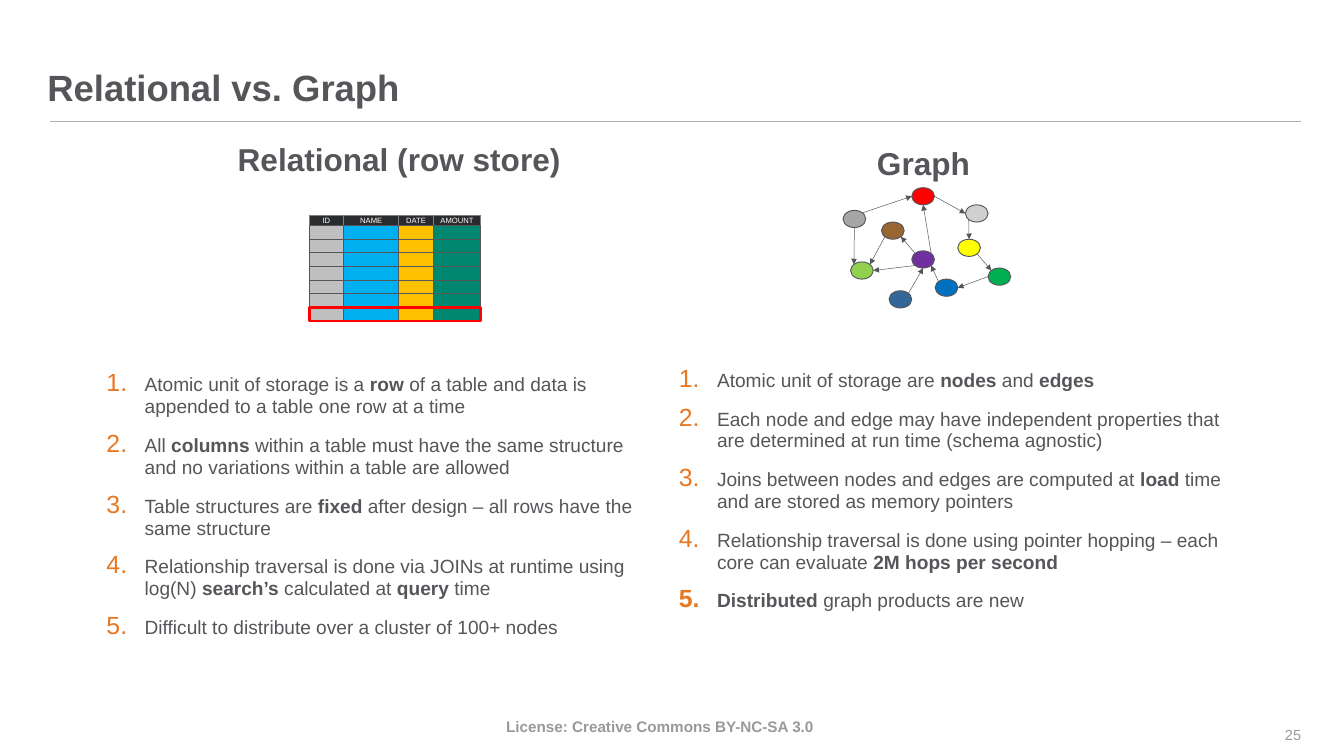
import math
from dataclasses import dataclass

import lxml.etree
import pptx
import pptx.dml.color
import pptx.enum.shapes
import pptx.enum.text
import pptx.oxml.ns
import pptx.util

Pt = pptx.util.Pt
ALIGN = pptx.enum.text.PP_ALIGN
ANCHOR = pptx.enum.text.MSO_ANCHOR
SHAPE = pptx.enum.shapes.MSO_SHAPE


@dataclass(frozen=True)
class Theme:
    font: str = "Arial"
    text: str = "55565A"
    accent: str = "E87722"
    rule: str = "B1B3B3"
    license: str = "98999D"
    page_number: str = "999A9B"
    header_fill: str = "2A2B2D"
    header_line: str = "808080"
    header_text: str = "FFFFFF"
    highlight: str = "FF0000"
    title_size: float = 38.2
    heading_size: float = 33.1
    body_size: float = 20
    license_size: float = 16
    page_number_size: float = 15.3
    header_size: float = 8


THEME = Theme()

RELATIONAL_POINTS = [
    "Atomic unit of storage is a **row** of a table and data is appended to a table one row at a time",
    "All **columns** within a table must have the same structure and no variations within a table are allowed",
    "Table structures are **fixed** after design – all rows have the same structure",
    "Relationship traversal is done via JOINs at runtime using log(N) **search’s** calculated at **query** time",
    "Difficult to distribute over a cluster of 100+ nodes",
]
GRAPH_POINTS = [
    "Atomic unit of storage are **nodes** and **edges**",
    "Each node and edge may have independent properties that are determined at run time (schema agnostic)",
    "Joins between nodes and edges are computed at **load** time and are stored as memory pointers",
    "Relationship traversal is done using pointer hopping – each core can evaluate **2M hops per second**",
    "**Distributed** graph products are new",
]

# Header, width, colour
TABLE_COLUMNS = [
    ("ID", 36, "BFBFBF"),
    ("NAME", 58, "00B0F0"),
    ("DATE", 36, "FFC000"),
    ("AMOUNT", 50, "008770"),
]
TABLE_ROWS = 7

# Offset from the corner of the graph, colour
NODES = {
    "red": (72, 0, "FF0000"),
    "brown": (40.3, 36, "996633"),
    "purple": (72, 66.2, "7030A0"),
    "silver": (128.2, 18, "D0D0CE"),
    "yellow": (120.2, 54, "FFFF00"),
    "lime": (7.9, 77.8, "92D050"),
    "blue": (96.5, 95.8, "0070C0"),
    "gray": (0, 23.8, "A6A6A6"),
    "green": (151.9, 84.2, "00B050"),
    "navy": (48.2, 108, "336699"),
}
NODE_SIZE = (23.8, 18)

# Node and compass side where each edge starts and ends
EDGES = [
    ("gray", "NE", "red", "W"),
    ("red", "E", "silver", "W"),
    ("silver", "SW", "yellow", "N"),
    ("yellow", "SE", "green", "NW"),
    ("green", "W", "blue", "E"),
    ("blue", "NW", "purple", "SE"),
    ("purple", "NW", "brown", "SE"),
    ("brown", "SW", "lime", "NE"),
    ("gray", "S", "lime", "NW"),
    ("purple", "NE", "red", "S"),
    ("purple", "SW", "lime", "E"),
    ("navy", "NE", "purple", "S"),
]
COMPASS = ["E", "SE", "S", "SW", "W", "NW", "N", "NE"]


def rgb(colour):
    return pptx.dml.color.RGBColor.from_string(colour)


def set_font(paragraph, size, colour, bold=False):
    font = paragraph.font
    font.name, font.size, font.bold = THEME.font, Pt(size), bold
    font.color.rgb = rgb(colour)


def add_text_frame(slide, box, anchor=ANCHOR.TOP):
    frame = slide.shapes.add_textbox(*map(Pt, box)).text_frame
    frame.word_wrap = True
    frame.vertical_anchor = anchor
    frame.margin_left = frame.margin_top = frame.margin_right = frame.margin_bottom = 0
    return frame


def add_label(slide, box, text, size, colour, bold=True, align=ALIGN.LEFT,
              anchor=ANCHOR.TOP, line_spacing=1.0):
    paragraph = add_text_frame(slide, box, anchor).paragraphs[0]
    paragraph.text = text
    paragraph.alignment = align
    paragraph.line_spacing = line_spacing
    set_font(paragraph, size, colour, bold)


def add_heading(slide, box, text):
    add_label(slide, box, text, THEME.heading_size, THEME.text,
              align=ALIGN.CENTER, line_spacing=0.95)


def add_numbering(paragraph):
    properties = paragraph._p.get_or_add_pPr()
    properties.set("marL", str(Pt(40)))
    properties.set("indent", str(Pt(-40)))
    qn = pptx.oxml.ns.qn
    colour = lxml.etree.SubElement(properties, qn("a:buClr"))
    lxml.etree.SubElement(colour, qn("a:srgbClr"), val=THEME.accent)
    lxml.etree.SubElement(properties, qn("a:buSzPct"), val="130000")
    lxml.etree.SubElement(properties, qn("a:buAutoNum"), type="arabicPeriod")


def add_numbered_list(slide, box, points):
    """Number the points; text between double asterisks is bold."""
    frame = add_text_frame(slide, box)
    for index, point in enumerate(points):
        paragraph = frame.add_paragraph() if index else frame.paragraphs[0]
        paragraph.line_spacing = 0.95
        paragraph.space_before = Pt(10.2 if index else 0)
        paragraph.space_after = Pt(7.7)
        add_numbering(paragraph)
        set_font(paragraph, THEME.body_size, THEME.text)
        for part, text in enumerate(point.split("**")):
            if text:
                run = paragraph.add_run()
                run.text = text
                if part % 2:
                    run.font.bold = True


def add_filled_shape(shapes, kind, box, fill, line, line_width=1):
    shape = shapes.add_shape(kind, *map(Pt, box))
    shape.shadow.inherit = False
    if fill:
        shape.fill.solid()
        shape.fill.fore_color.rgb = rgb(fill)
    else:
        shape.fill.background()
    shape.line.color.rgb = rgb(line)
    shape.line.width = Pt(line_width)
    return shape


def add_line(shapes, start, end, colour, width, arrow=False):
    connector = shapes.add_connector(pptx.enum.shapes.MSO_CONNECTOR.STRAIGHT,
                                     *map(Pt, (*start, *end)))
    connector.line.color.rgb = rgb(colour)
    connector.line.width = Pt(width)
    qn = pptx.oxml.ns.qn
    if arrow:
        lxml.etree.SubElement(connector.line._get_or_add_ln(), qn("a:tailEnd"), type="triangle")
    lxml.etree.SubElement(connector._element.spPr, qn("a:effectLst"))


def add_row_store(slide, box):
    left, top, width, height = box
    header_height = 11
    row_height = (height - header_height) / TABLE_ROWS
    column_left = left
    for name, column_width, colour in TABLE_COLUMNS:
        header = add_filled_shape(slide.shapes, SHAPE.RECTANGLE,
                                  (column_left, top, column_width, header_height),
                                  THEME.header_fill, THEME.header_line)
        frame = header.text_frame
        frame.margin_top = frame.margin_bottom = 0
        frame.word_wrap = False
        paragraph = frame.paragraphs[0]
        paragraph.text = name
        paragraph.alignment = ALIGN.CENTER
        set_font(paragraph, THEME.header_size, THEME.header_text)
        for row in range(TABLE_ROWS):
            row_top = top + header_height + row * row_height
            add_filled_shape(slide.shapes, SHAPE.RECTANGLE,
                             (column_left, row_top, column_width, row_height), colour, THEME.text)
        column_left += column_width
    add_filled_shape(slide.shapes, SHAPE.RECTANGLE,
                     (left, top + height - row_height, width, row_height),
                     None, THEME.highlight, 3)


def add_graph(slide, left, top):
    shapes = slide.shapes.add_group_shape().shapes
    width, height = NODE_SIZE

    def site(node, side):
        x, y, _ = NODES[node]
        angle = COMPASS.index(side) * math.pi / 4
        return (left + x + width / 2 * (1 + math.cos(angle)),
                top + y + height / 2 * (1 + math.sin(angle)))

    for x, y, colour in NODES.values():
        add_filled_shape(shapes, SHAPE.OVAL, (left + x, top + y, width, height), colour, THEME.text)
    for source, source_side, target, target_side in EDGES:
        add_line(shapes, site(source, source_side), site(target, target_side),
                 THEME.text, 0.5, arrow=True)


def add_frame(slide):
    """Place the title, its rule and the footer."""
    add_line(slide.shapes, (52.6, 127.4), (1363.7, 127.4), THEME.rule, 1)
    add_label(slide, (49.7, 43.9, 1136, 70.6), "Relational vs. Graph", THEME.title_size,
              THEME.text, anchor=ANCHOR.BOTTOM, line_spacing=0.9)
    add_label(slide, (414, 751.7, 555, 19.4), "License: Creative Commons BY-NC-SA 3.0",
              THEME.license_size, THEME.license, align=ALIGN.CENTER)
    add_label(slide, (1301, 748.8, 62.6, 42.5), "25", THEME.page_number_size,
              THEME.page_number, bold=False, align=ALIGN.RIGHT, anchor=ANCHOR.MIDDLE)


def main():
    presentation = pptx.Presentation()
    presentation.slide_width, presentation.slide_height = Pt(1408.32), Pt(792)
    slide = presentation.slides.add_slide(presentation.slide_layouts[6])
    add_frame(slide)
    add_heading(slide, (236.9, 149.8, 362.9, 36), "Relational (row store)")
    add_row_store(slide, (324, 225.4, 180, 111))
    add_numbered_list(slide, (111.6, 392.4, 554.4, 314), RELATIONAL_POINTS)
    add_heading(slide, (684.7, 153.4, 566, 57), "Graph")
    add_graph(slide, 883.4, 196.6)
    add_numbered_list(slide, (711.4, 387.4, 568, 314), GRAPH_POINTS)
    presentation.save("out.pptx")


if __name__ == "__main__":
    main()
